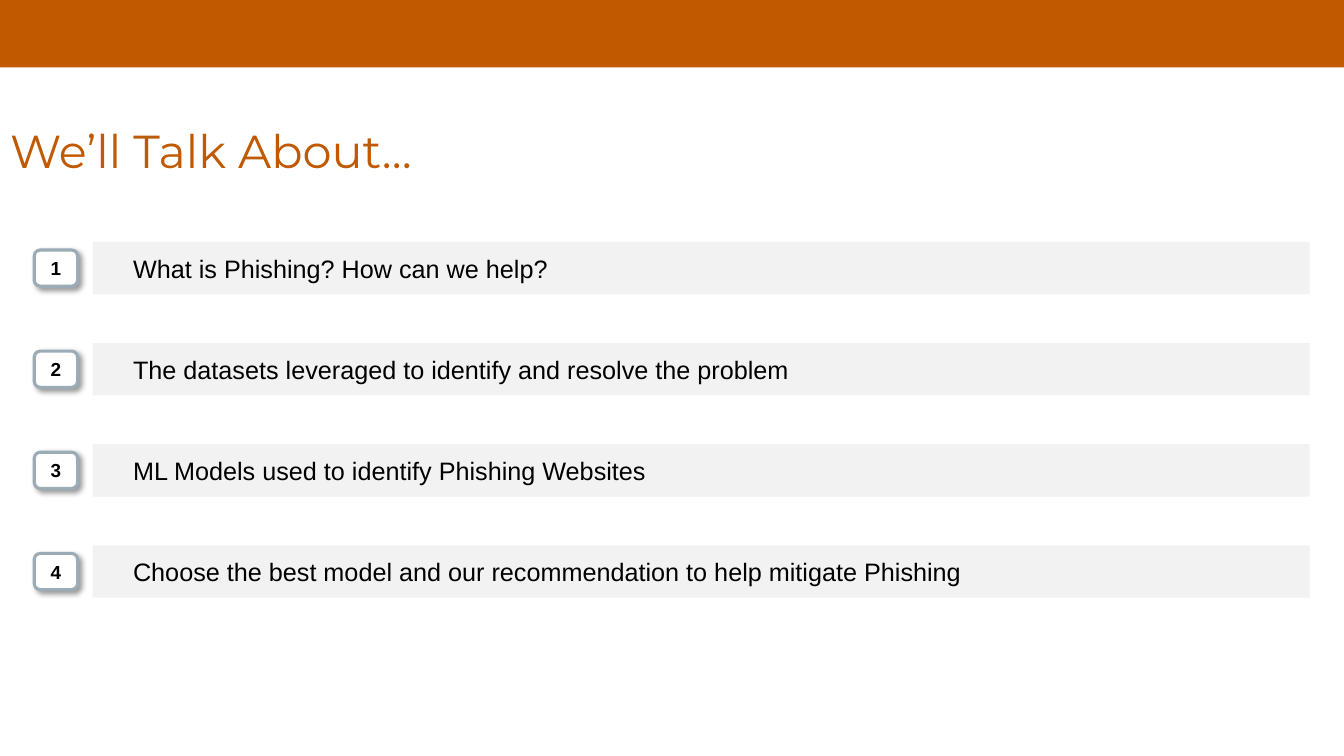
import pptx
import pptx.dml.color
import pptx.enum.shapes
import pptx.enum.text
import pptx.oxml.ns
import pptx.util
from lxml import etree

Inches, Pt = pptx.util.Inches, pptx.util.Pt
SHAPE = pptx.enum.shapes.MSO_SHAPE
ALIGN = pptx.enum.text.PP_ALIGN
ANCHOR = pptx.enum.text.MSO_ANCHOR

COLORS = {
    "orange": "C05900",
    "bar": "F2F2F2",
    "badge": "FFFFFF",
    "badge_line": "9CACB6",
    "text": "000000",
}
TOPICS = [
    "What is Phishing? How can we help?",
    "The datasets leveraged to identify and resolve the problem",
    "ML Models used to identify Phishing Websites",
    "Choose the best model and our recommendation to help mitigate Phishing",
]


def rgb(name):
    return pptx.dml.color.RGBColor.from_string(COLORS[name])


def write(shape, text, size=18, font="Arial", color="text", bold=False,
          align=ALIGN.LEFT, anchor=ANCHOR.MIDDLE, margins=(0, 0.05),
          indent=0, line_spacing=None):
    frame = shape.text_frame
    frame.word_wrap = True
    frame.auto_size = pptx.enum.text.MSO_AUTO_SIZE.NONE
    frame.vertical_anchor = anchor
    frame.margin_left = frame.margin_right = Inches(margins[0])
    frame.margin_top = frame.margin_bottom = Inches(margins[1])
    paragraph = frame.paragraphs[0]
    paragraph.alignment = align
    paragraph.line_spacing = line_spacing
    if indent:
        paragraph._p.get_or_add_pPr().set("marL", str(Inches(indent)))
    run = paragraph.add_run()
    run.text = text
    run.font.size, run.font.name, run.font.bold = Pt(size), font, bold
    run.font.color.rgb = rgb(color)


def add_box(shapes, kind, left, top, width, height, fill, line=None):
    box = shapes.add_shape(kind, Inches(left), Inches(top),
                           Inches(width), Inches(height))
    box.fill.solid()
    box.fill.fore_color.rgb = rgb(fill)
    if line:
        box.line.color.rgb = rgb(line)
        box.line.width = Pt(2.25)
    else:
        box.line.fill.background()
    box.shadow.inherit = False
    return box


def add_soft_shadow(shape):
    qn = pptx.oxml.ns.qn
    effects = shape._element.spPr.find(qn("a:effectLst"))
    shadow = etree.SubElement(effects, qn("a:outerShdw"), blurRad=str(Pt(4)),
                              dist=str(Pt(3)), dir=str(45 * 60000),
                              algn="tl", rotWithShape="0")
    tint = etree.SubElement(shadow, qn("a:srgbClr"), val=COLORS["text"])
    etree.SubElement(tint, qn("a:alpha"), val="40000")


def add_heading(slide, left, top, width, height):
    title = slide.shapes.title
    title.left, title.top = Inches(left), Inches(top)
    title.width, title.height = Inches(width), Inches(height)
    write(title, "We’ll Talk About…", size=33, font="Montserrat",
          color="orange", anchor=ANCHOR.TOP, margins=(0.1, 0.05),
          line_spacing=0.9)


def add_topic(slide, number, topic, left, top, width, height):
    badge_width, badge_height, bar_offset = 0.43, 0.36, 0.58
    row = slide.shapes.add_group_shape().shapes

    # Topic bar
    bar = add_box(row, SHAPE.RECTANGLE, left + bar_offset, top,
                  width - bar_offset, height, "bar")
    write(bar, topic, indent=0.4)

    # Numbered badge, centred on the bar's height
    badge = add_box(row, SHAPE.ROUNDED_RECTANGLE, left,
                    top + (height - badge_height) / 2,
                    badge_width, badge_height, "badge", "badge_line")
    add_soft_shadow(badge)
    write(badge, str(number), size=13.5, bold=True, align=ALIGN.CENTER,
          margins=(0, 0))


def add_agenda(slide, left, top, width, height):
    row_height = 0.52
    pitch = (height - row_height) / (len(TOPICS) - 1)
    for index, topic in enumerate(TOPICS):
        add_topic(slide, index + 1, topic, left, top + index * pitch,
                  width, row_height)


def main():
    deck = pptx.Presentation()
    deck.slide_width, deck.slide_height = Inches(13.33), Inches(7.5)
    slide = deck.slides.add_slide(deck.slide_layouts.get_by_name("Title Only"))

    # Top band, heading and agenda rows
    add_box(slide.shapes, SHAPE.RECTANGLE, 0, 0, 13.33, 0.67, "orange")
    add_heading(slide, 0, 1.23, 13.33, 0.66)
    add_agenda(slide, 0.34, 2.4, 12.65, 3.53)

    deck.save("out.pptx")


if __name__ == "__main__":
    main()
